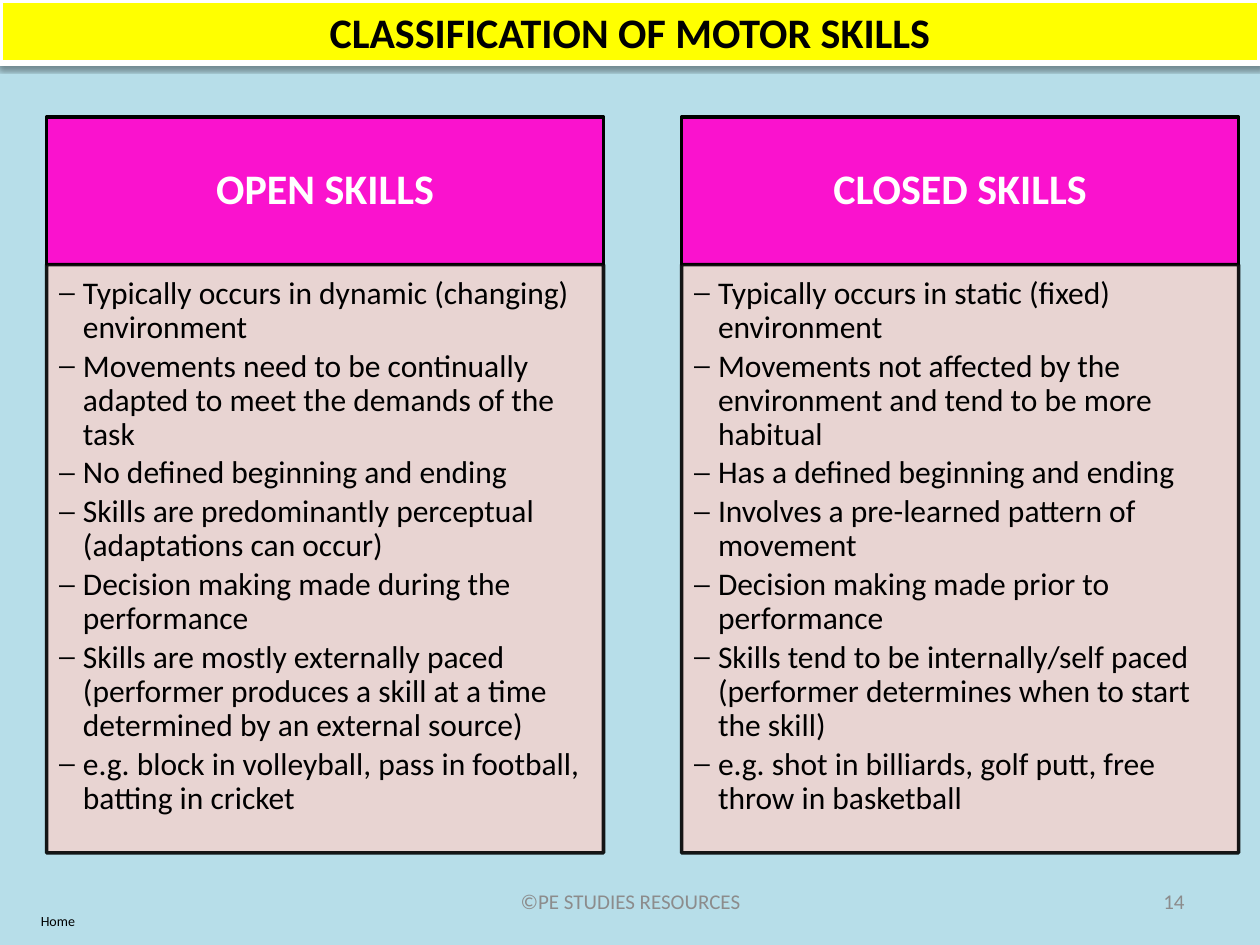
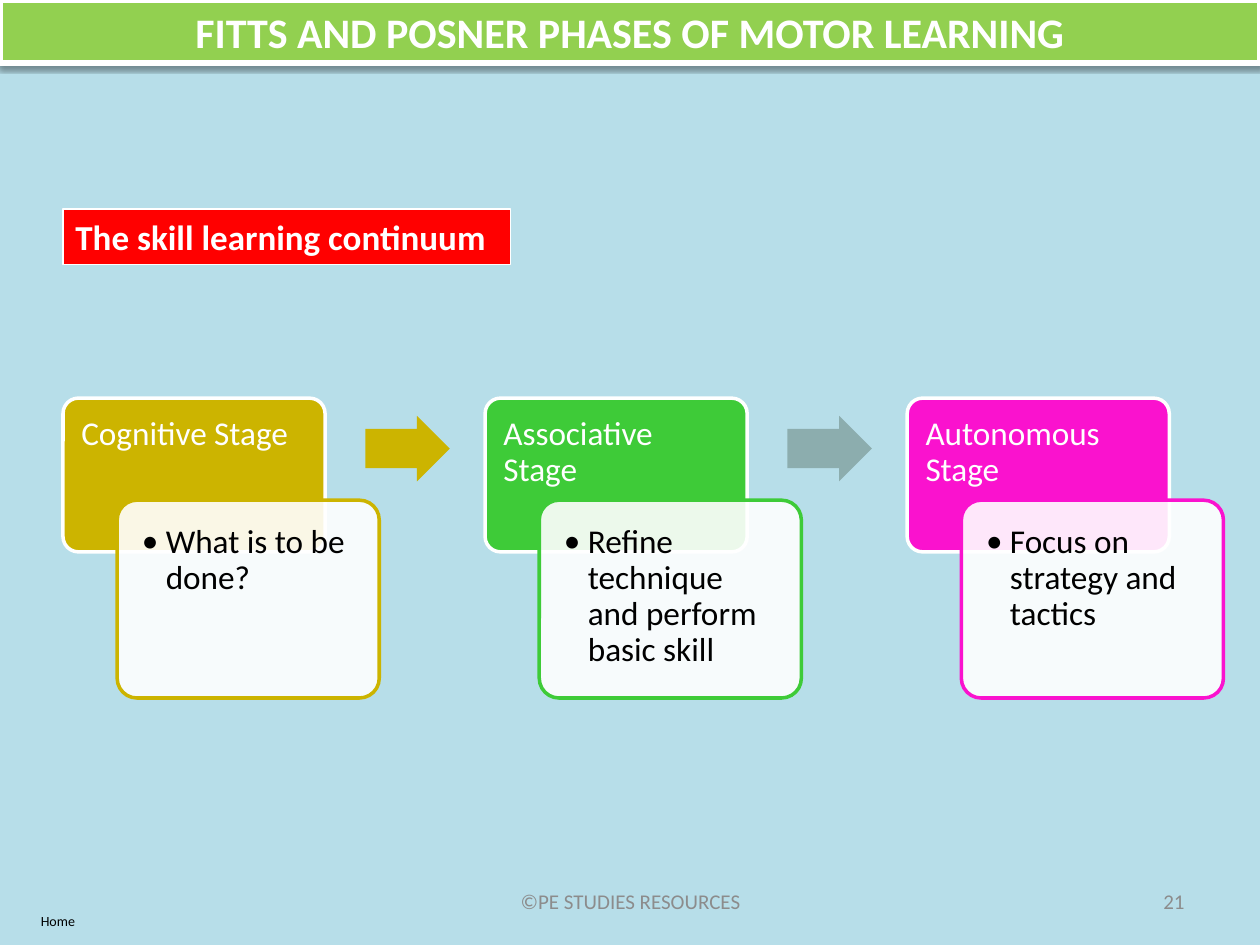
from pptx import Presentation, util as u
from pptx.dml.color import RGBColor
from pptx.enum import shapes, text
from pptx.oxml.ns import qn
from lxml import etree

# Content
SKILL_COLUMNS = {
    "OPEN SKILLS": [
        "Typically occurs in dynamic (changing) environment",
        "Movements need to be continually adapted to meet the demands of the task",
        "No defined beginning and ending",
        "Skills are predominantly perceptual (adaptations can occur)",
        "Decision making made during the performance",
        "Skills are mostly externally paced (performer produces a skill at a time "
        "determined by an external source)",
        "e.g. block in volleyball, pass in football, batting in cricket",
    ],
    "CLOSED SKILLS": [
        "Typically occurs in static (fixed) environment",
        "Movements not affected by the environment and tend to be more habitual",
        "Has a defined beginning and ending",
        "Involves a pre-learned pattern of movement",
        "Decision making made prior to performance",
        "Skills tend to be internally/self paced (performer determines when to start the skill)",
        "e.g. shot in billiards, golf putt, free throw in basketball",
    ],
}
# Stage name, description, box colour, colour of the arrow that follows
STAGES = [
    ("Cognitive Stage", "What is to be done?", "CCB400", "CCB400"),
    ("Associative Stage", "Refine technique and perform basic skill", "3ECB38", "8CADAE"),
    ("Autonomous Stage", "Focus on strategy and tactics", "FA12CE", None),
]
FOOTER = "©PE STUDIES RESOURCES"

# Shared style
WIDTH, HEIGHT = 10, 7.5
FONT = "Calibri"
BLACK, WHITE, GREY, PINK = "000000", "FFFFFF", "8C8C8C", "FA12CE"
SKY, ROSE, YELLOW, GREEN, RED = "B7DEE9", "EED3D0", "FFFF00", "92D050", "FF0000"
RECT = shapes.MSO_SHAPE.RECTANGLE
ROUNDED = shapes.MSO_SHAPE.ROUNDED_RECTANGLE
ARROW = shapes.MSO_SHAPE.RIGHT_ARROW
LEFT, CENTER, RIGHT = text.PP_ALIGN.LEFT, text.PP_ALIGN.CENTER, text.PP_ALIGN.RIGHT
TOP, MIDDLE = text.MSO_ANCHOR.TOP, text.MSO_ANCHOR.MIDDLE
INSETS = (0.1, 0.05, 0.1, 0.05)
HANGING = 0.19


def paint(fill, color, opacity=100):
    fill.solid()
    fill.fore_color.rgb = RGBColor.from_string(color)
    if opacity < 100:
        element = next(fill._xPr.iter(qn("a:srgbClr")))
        etree.SubElement(element, qn("a:alpha"), val=str(opacity * 1000))


def add_bullet(paragraph, character):
    properties = paragraph._p.get_or_add_pPr()
    properties.set("marL", str(u.Inches(HANGING)))
    properties.set("indent", str(-u.Inches(HANGING)))
    etree.SubElement(properties, qn("a:buFont"), typeface=FONT)
    etree.SubElement(properties, qn("a:buChar"), char=character)


def write(shape, lines, size, color, bold=False, align=LEFT, anchor=MIDDLE,
          insets=INSETS, bullet=None, spacing=None, after=0):
    """Fill a shape with paragraphs; after is a share of the text size."""
    frame = shape.text_frame
    frame.word_wrap = True
    frame.vertical_anchor = anchor
    (frame.margin_left, frame.margin_top,
     frame.margin_right, frame.margin_bottom) = map(u.Inches, insets)
    for index, line in enumerate(lines):
        paragraph = frame.paragraphs[0] if index == 0 else frame.add_paragraph()
        paragraph.text = line
        paragraph.alignment = align
        if bullet:
            add_bullet(paragraph, bullet)
        if spacing:
            paragraph.line_spacing = spacing
            paragraph.space_after = u.Pt(size * after)
        font = paragraph.font
        font.name, font.size, font.bold = FONT, u.Pt(size), bold
        font.color.rgb = RGBColor.from_string(color)


def add_box(slide, kind, box, fill, line=None, line_width=2, opacity=100,
            line_opacity=100, adjustments=()):
    shape = slide.shapes.add_shape(kind, *map(u.Inches, box))
    shape.shadow.inherit = False
    paint(shape.fill, fill, opacity)
    if line:
        shape.line.width = u.Pt(line_width)
        paint(shape.line.fill, line, line_opacity)
    else:
        shape.line.fill.background()
    for index, value in enumerate(adjustments):
        shape.adjustments[index] = value
    return shape


def add_label(slide, box, words, size, color, align):
    write(slide.shapes.add_textbox(*map(u.Inches, box)), [words], size, color, align=align)


def add_base_slide(presentation, title, number, band_color, title_color):
    """Blank slide with background, title band, footer and home label."""
    slide = presentation.slides.add_slide(presentation.slide_layouts[6])
    paint(slide.background.fill, SKY)
    band = add_box(slide, RECT, (0, 0, WIDTH, 0.5), band_color, WHITE, 3)
    effects = band._element.spPr.find(qn("a:effectLst"))
    shadow = etree.SubElement(effects, qn("a:outerShdw"), blurRad=str(u.Pt(3.1)),
                              dist=str(u.Pt(1.6)), dir="5400000", rotWithShape="0")
    shade = etree.SubElement(shadow, qn("a:srgbClr"), val=BLACK)
    etree.SubElement(shade, qn("a:alpha"), val="38000")
    write(band, [title], 24, title_color, bold=True, align=CENTER)
    add_label(slide, (3.42, 6.95, 3.17, 0.4), FOOTER, 12, GREY, CENTER)
    add_label(slide, (7.17, 6.95, 2.33, 0.4), str(number), 12, GREY, RIGHT)
    add_label(slide, (0, 7.19, 0.92, 0.24), "Home", 8, BLACK, CENTER)
    return slide


def build_skills(presentation):
    slide = add_base_slide(presentation, "CLASSIFICATION OF MOTOR SKILLS", 14, YELLOW, BLACK)
    left, top, width, step = 0.37, 0.93, 4.42, 5.04
    head_height, body_height = 1.17, 4.67
    for column, (heading, points) in enumerate(SKILL_COLUMNS.items()):
        x = left + column * step
        head = add_box(slide, RECT, (x, top, width, head_height), PINK, BLACK)
        write(head, [heading], 24, WHITE, bold=True, align=CENTER, spacing=0.9)
        body = add_box(slide, RECT, (x, top + head_height, width, body_height), ROSE, BLACK,
                       opacity=90, line_opacity=90)
        write(body, points, 18, BLACK, anchor=TOP, insets=(0.1, 0.1, 0.14, 0.16),
              bullet="⎯", spacing=0.9, after=0.15)


def build_phases(presentation):
    slide = add_base_slide(presentation, "FITTS AND POSNER PHASES OF MOTOR LEARNING", 21,
                           GREEN, WHITE)
    label = add_box(slide, RECT, (0.5, 1.66, 3.55, 0.44), RED, WHITE, 0.75)
    write(label, ["The skill learning continuum"], 20, WHITE, bold=True)

    # Each stage: a name box, an overlapping description, then an arrow
    left, top, width, step = 0.5, 3.16, 2.08, 3.35
    for column, (name, description, color, arrow_color) in enumerate(STAGES):
        x = left + column * step
        back = add_box(slide, ROUNDED, (x, top, width, 1.22), color, WHITE, adjustments=[0.1])
        write(back, [name], 19, WHITE, anchor=TOP, insets=(0.11, 0.11, 0.11, 0.08), spacing=0.9)
        front = add_box(slide, ROUNDED, (x + 0.43, top + 0.81, width, 1.57), WHITE, color,
                        opacity=90, adjustments=[0.1])
        write(front, [description], 19, BLACK, anchor=TOP, insets=(0.15,) * 4,
              bullet="•", spacing=0.9)
        if arrow_color:
            add_box(slide, ARROW, (x + 2.4, top + 0.14, 0.67, 0.52), arrow_color,
                    adjustments=[0.6, 0.5])


def main():
    presentation = Presentation()
    presentation.slide_width = u.Inches(WIDTH)
    presentation.slide_height = u.Inches(HEIGHT)
    build_skills(presentation)
    build_phases(presentation)
    presentation.save("out.pptx")


if __name__ == "__main__":
    main()
